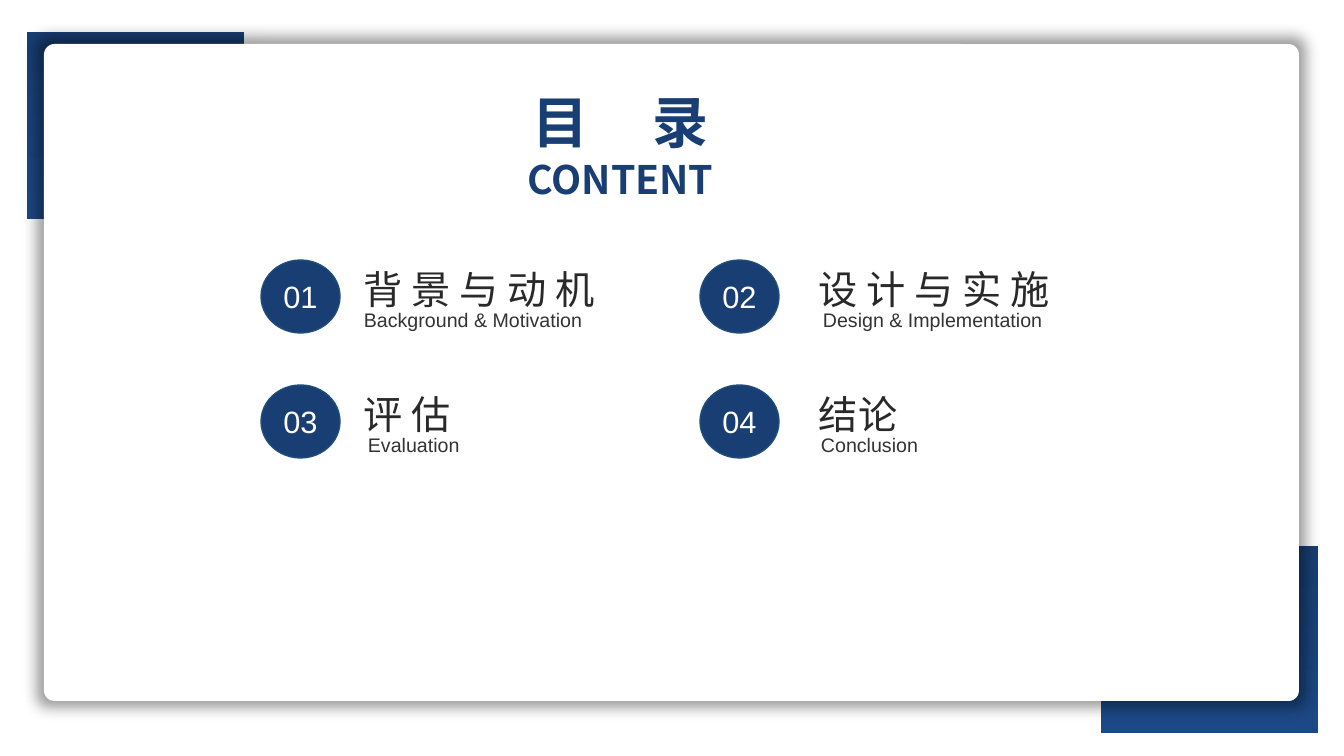
from lxml import etree
from pptx import Presentation
from pptx.dml.color import RGBColor
from pptx.enum.shapes import MSO_SHAPE
from pptx.enum.text import MSO_ANCHOR, MSO_AUTO_SIZE, PP_ALIGN
from pptx.oxml.ns import qn
from pptx.util import Emu, Pt

LEFT, CENTER, JUSTIFY = PP_ALIGN.LEFT, PP_ALIGN.CENTER, PP_ALIGN.JUSTIFY
RECTANGLE, ROUNDED, OVAL = MSO_SHAPE.RECTANGLE, MSO_SHAPE.ROUNDED_RECTANGLE, MSO_SHAPE.OVAL

TITLE = ("目", " ", "录")
SUBTITLE = "CONTENT"
# number, heading, translation, translation's left, width and alignment
CHAPTERS = [
    ("01", "背 景 与 动 机", "Background & Motivation", 354, 269, LEFT),
    ("02", "设 计 与 实 施", "Design & Implementation", 813, 244, JUSTIFY),
    ("03", "评 估", "Evaluation", 358, 123, JUSTIFY),
    ("04", "结论", "Conclusion", 794, 151, CENTER),
]

COLORS = {
    "navy": "183E73",
    "blue": "1C4885",
    "outline": "1F4E79",
    "heading": "292929",
    "translation": "333333",
    "white": "FFFFFF",
    "shadow": "000000",
}
CJK_FONT, LATIN_FONT = "Noto Sans CJK SC", "Arial"

PX = 914400 / 100.8
SLIDE_SIZE = (1344, 756)
CORNERS = [(1101, 546), (27, 32)]
CORNER_SIZE = (217, 187)
CARD = (44, 44, 1255, 657)
TITLE_BOX = (502, 83, 237, 126)
BADGE_LEFTS, HEADING_LEFTS = (261, 700), (354, 809)
BADGE_SIZE, HEADING_SIZE = (79, 73), (280, 57)
FIRST_ROW, ROW_STEP = 260, 125
TRANSLATION_DROP, TRANSLATION_HEIGHT = 43, 34


def emu(*lengths):
    return [Emu(round(length * PX)) for length in lengths]


def color(name):
    return RGBColor.from_string(COLORS[name])


def add_plain_shape(slide, kind, box, fill=None):
    shape = slide.shapes.add_shape(kind, *emu(*box))
    shape.shadow.inherit = False
    shape.line.fill.background()
    if fill:
        shape.fill.solid()
        shape.fill.fore_color.rgb = color(fill)
    return shape


def style(paragraph, size, font_name, color_name, alignment, bold=False):
    paragraph.alignment = alignment
    font = paragraph.font
    font.size, font.name, font.bold = Pt(size), font_name, bold
    font.color.rgb = color(color_name)
    east_asian = etree.SubElement(paragraph._p.pPr.find(qn("a:defRPr")), qn("a:ea"))
    east_asian.set("typeface", font_name)


def add_text_frame(slide, box):
    frame = slide.shapes.add_textbox(*emu(*box)).text_frame
    frame.word_wrap = True
    frame.auto_size = MSO_AUTO_SIZE.SHAPE_TO_FIT_TEXT
    return frame


def add_label(slide, box, text, *look):
    paragraph = add_text_frame(slide, box).paragraphs[0]
    paragraph.text = text
    style(paragraph, *look)


def add_corner(slide, left, top):
    corner = add_plain_shape(slide, RECTANGLE, (left, top, *CORNER_SIZE))
    corner.fill.gradient()
    corner.fill.gradient_angle = 270
    for stop, name in zip(corner.fill.gradient_stops, ("navy", "blue")):
        stop.color.rgb = color(name)


def add_card(slide):
    card = add_plain_shape(slide, ROUNDED, CARD, "white")
    card.adjustments[0] = 0.016
    effects = card._element.spPr.find(qn("a:effectLst"))
    shadow = etree.SubElement(effects, qn("a:outerShdw"), blurRad="127000",
                              sx="101000", sy="102000", algn="ctr", rotWithShape="0")
    shade = etree.SubElement(shadow, qn("a:srgbClr"), val=COLORS["shadow"])
    etree.SubElement(shade, qn("a:alpha"), val="40000")


def add_title(slide):
    frame = add_text_frame(slide, TITLE_BOX)
    title, subtitle = frame.paragraphs[0], frame.add_paragraph()
    for text in TITLE:
        run = title.add_run()
        run.text = text
        if text == " ":
            run._r.get_or_add_rPr().set("spc", "3600")
    subtitle.text = SUBTITLE
    for paragraph, size in ((title, 40), (subtitle, 28)):
        style(paragraph, size, CJK_FONT, "navy", CENTER, True)


def add_badge(slide, left, top, number):
    badge = add_plain_shape(slide, OVAL, (left, top, *BADGE_SIZE), "navy")
    badge.line.color.rgb = color("outline")
    badge.line.width = Pt(1)
    badge.text_frame.vertical_anchor = MSO_ANCHOR.MIDDLE
    paragraph = badge.text_frame.paragraphs[0]
    paragraph.text = number
    style(paragraph, 22, LATIN_FONT, "white", CENTER)


def main():
    presentation = Presentation()
    presentation.slide_width, presentation.slide_height = emu(*SLIDE_SIZE)
    slide = presentation.slides.add_slide(presentation.slide_layouts[6])
    for left, top in CORNERS:
        add_corner(slide, left, top)
    add_card(slide)
    add_title(slide)
    for index, (number, heading, translation, left, width, alignment) in enumerate(CHAPTERS):
        row, column = divmod(index, 2)
        top = FIRST_ROW + row * ROW_STEP
        add_badge(slide, BADGE_LEFTS[column], top, number)
        add_label(slide, (HEADING_LEFTS[column], top, *HEADING_SIZE), heading,
                  28, CJK_FONT, "heading", LEFT)
        add_label(slide, (left, top + TRANSLATION_DROP, width, TRANSLATION_HEIGHT),
                  translation, 14, LATIN_FONT, "translation", alignment)
    presentation.save("out.pptx")


if __name__ == "__main__":
    main()
